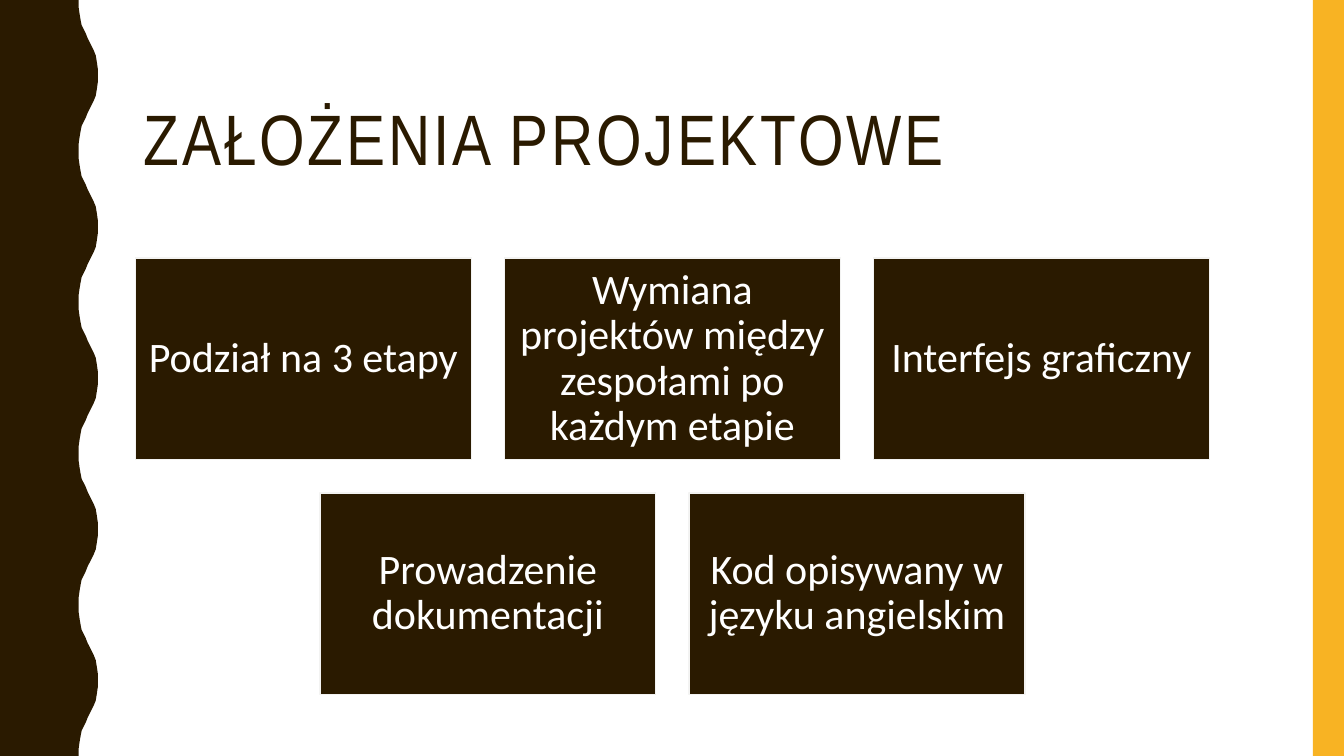
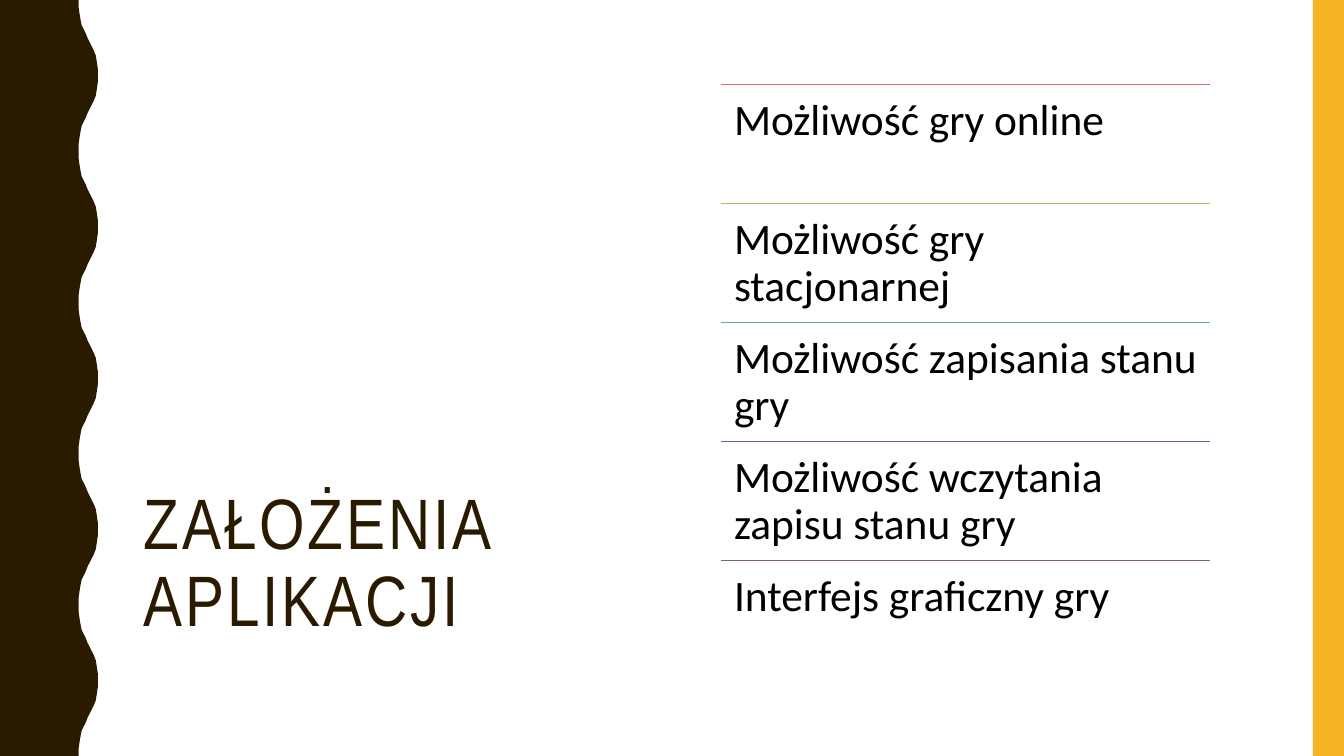
"""Builds two slides on project and application requirements."""
from lxml.etree import SubElement
from pptx import Presentation
from pptx.dml.color import RGBColor
from pptx.enum.shapes import MSO_CONNECTOR, MSO_SHAPE
from pptx.enum.text import MSO_ANCHOR, PP_ALIGN
from pptx.oxml.ns import qn
from pptx.util import Inches, Pt

HUES = {
    "brown": "2A1A00", "gold": "F8B323", "edge": "F3F3F2",
    "white": "FFFFFF", "black": "000000", "red": "D36F68",
    "green": "9DC362", "teal": "5FB19A", "blue": "615F9B", "plum": "826276",
}
INK = {name: RGBColor.from_string(code) for name, code in HUES.items()}
SIDES = ("left", "top", "right", "bottom")
STYLES = {
    "title": {"font": "Arial Narrow", "size": 51, "ink": "brown",
              "align": PP_ALIGN.LEFT, "pad": (0.1, 0.05, 0.1, 0.05)},
    "card": {"font": "Calibri", "size": 30, "ink": "white",
             "align": PP_ALIGN.CENTER, "pad": (0.12,) * 4},
    "item": {"font": "Calibri", "size": 31, "ink": "black",
             "align": PP_ALIGN.LEFT, "pad": (0.13,) * 4},
}


def write(shape, text, kind, anchor):
    style = STYLES[kind]
    frame = shape.text_frame
    para = frame.paragraphs[0]
    run = para.add_run()
    run.text = text
    looks = [
        (frame, {"word_wrap": True, "vertical_anchor": anchor}),
        (frame, {f"margin_{side}": Inches(pad)
                 for side, pad in zip(SIDES, style["pad"])}),
        (para, {"alignment": style["align"], "line_spacing": 0.9}),
        (run.font, {"name": style["font"], "size": Pt(style["size"])}),
        (run.font.color, {"rgb": INK[style["ink"]]}),
    ]
    for part, values in looks:
        for key, value in values.items():
            setattr(part, key, value)
    return run


def paint(shape, fill, edge=None):
    shape.shadow.inherit = False
    shape.fill.solid()
    shape.fill.fore_color.rgb = INK[fill]
    if edge:
        shape.line.color.rgb = INK[edge]
        shape.line.width = Pt(1)
    else:
        shape.line.fill.background()


deck = Presentation()
deck.slide_width, deck.slide_height = Inches(13.33), Inches(7.5)

# Wave points are hundredths of an inch; each crest spans 1.5 inches.
rise = [(78, 0), (78, 7), (79, 14), (80, 20), (81, 25), (83, 29), (85, 33),
        (87, 38), (89, 42), (91, 46), (93, 50), (95, 55), (96, 61), (97, 68)]
fall = [(x, 150 - y) for x, y in reversed(rise)]
crest = rise + [(97, 75)] + fall
wave = [(x, y + 150 * turn) for turn in range(5) for x, y in crest]

titles = [
    ("ZAŁOŻENIA PROJEKTOWE", (1.33, 0.78, 10.67, 1.26), MSO_ANCHOR.MIDDLE),
    ("ZAŁOŻENIA APLIKACJI", (1.33, 1.42, 5.33, 5), MSO_ANCHOR.BOTTOM),
]
slides = []
for text, place, anchor in titles:
    slide = deck.slides.add_slide(deck.slide_layouts[6])
    pen = slide.shapes.build_freeform(0, 0, scale=Inches(0.01))
    pen.add_line_segments(wave + [(0, 750)], close=True)
    paint(pen.convert_to_shape(), "brown")
    band = slide.shapes.add_shape(
        MSO_SHAPE.RECTANGLE, Inches(13.02), 0, Inches(0.31), Inches(7.5))
    paint(band, "gold")
    box = slide.shapes.add_textbox(*map(Inches, place))
    run = write(box, text, "title", anchor)
    run.font._element.set("spc", "200")
    slides.append(slide)
plan, app = slides

rows = [
    ["Podział na 3 etapy",
     "Wymiana projektów między zespołami po każdym etapie",
     "Interfejs graficzny"],
    ["Prowadzenie dokumentacji", "Kod opisywany w języku angielskim"],
]
wide, high, gap = 3.33, 2, 0.33
for row, texts in enumerate(rows):
    count = len(texts)
    start = 6.67 - (count * (wide + gap) - gap) / 2
    for col, text in enumerate(texts):
        card = plan.shapes.add_shape(
            MSO_SHAPE.RECTANGLE, Inches(start + col * (wide + gap)),
            Inches(2.56 + row * (high + gap)), Inches(wide), Inches(high))
        paint(card, "brown", "edge")
        write(card, text, "card", MSO_ANCHOR.MIDDLE)

items = [
    ("Możliwość gry online", "red"),
    ("Możliwość gry stacjonarnej", "green"),
    ("Możliwość zapisania stanu gry", "teal"),
    ("Możliwość wczytania zapisu stanu gry", "blue"),
    ("Interfejs graficzny gry", "plum"),
]
left, wide, step = Inches(7.15), Inches(4.85), Inches(1.18)
for num, (text, hue) in enumerate(items):
    top = Inches(0.84) + num * step
    rule = app.shapes.add_connector(
        MSO_CONNECTOR.STRAIGHT, left, top, left + wide, top)
    rule.line.color.rgb = INK[hue]
    rule.line.width = Pt(1)
    SubElement(rule._element.spPr, qn("a:effectLst"))
    box = app.shapes.add_textbox(left, top, wide, step)
    write(box, text, "item", MSO_ANCHOR.TOP)

deck.save("out.pptx")
